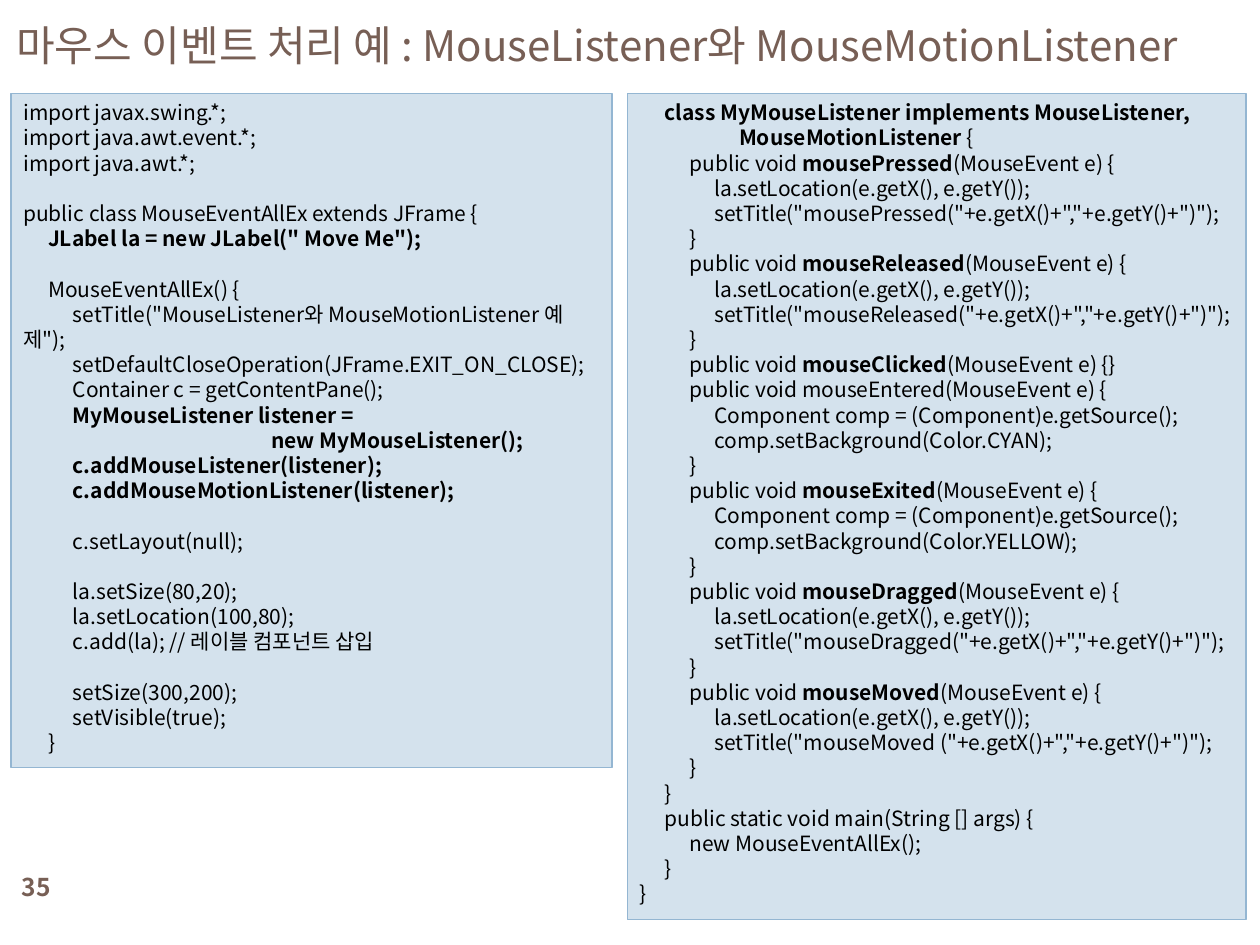
from lxml import etree
from pptx import Presentation
from pptx.dml.color import RGBColor
from pptx.enum.shapes import MSO_SHAPE
from pptx.enum.text import MSO_ANCHOR, MSO_AUTO_SIZE, PP_ALIGN
from pptx.oxml.ns import qn
from pptx.util import Cm, Pt

RECT = MSO_SHAPE.RECTANGLE
MIDDLE, TOP = MSO_ANCHOR.MIDDLE, MSO_ANCHOR.TOP
LEFT, CENTER = PP_ALIGN.LEFT, PP_ALIGN.CENTER
NO_FIT = MSO_AUTO_SIZE.NONE

FONT = "Noto Sans CJK KR"
COLORS = {"brown": "775F55", "panel": "D4E2ED", "edge": "94B6D2", "code": "000000"}
LINE = Pt(14.4)
TAB = Cm(0.5)
TAB_COUNT = 10
INDENT = " " * 4

# Backticks enclose bold code; an empty line is a gap.
SETUP = """import javax.swing.*;
import java.awt.event.*;
import java.awt.*;

public class MouseEventAllEx extends JFrame {
    `JLabel la = new JLabel(" Move Me");`

    MouseEventAllEx() {
        setTitle("MouseListener와 MouseMotionListener 예제");
        setDefaultCloseOperation(JFrame.EXIT_ON_CLOSE);
        Container c = getContentPane();
        `MyMouseListener listener =`
                                        `new MyMouseListener();`
        `c.addMouseListener(listener);`
        `c.addMouseMotionListener(listener);`

        c.setLayout(null);

        la.setSize(80,20);
        la.setLocation(100,80);
        c.add(la); // 레이블 컴포넌트 삽입

        setSize(300,200);
        setVisible(true);
    }"""


def method(name, *body):
    """Lines of one listener method, inside the inner class."""
    head = f"public void {name}(MouseEvent e) {{"
    if not body:
        return [INDENT * 2 + head + "}"]
    inner = [INDENT * 3 + row for row in body]
    return [INDENT * 2 + head, *inner, INDENT * 2 + "}"]


def move(name, label=None):
    """A method that moves the label and shows the mouse position."""
    return method(f"`{name}`", "la.setLocation(e.getX(), e.getY());",
                  f'setTitle("{label or name}("+e.getX()+","+e.getY()+")");')


def paint(name, color):
    """A method that recolours the background."""
    return method(name, "Component comp = (Component)e.getSource();",
                  f"comp.setBackground(Color.{color});")


LISTENER = "\n".join([
    "    `class MyMouseListener implements MouseListener,`",
    "                `MouseMotionListener` {",
    *move("mousePressed"),
    *move("mouseReleased"),
    *method("`mouseClicked`"),
    *paint("mouseEntered", "CYAN"),
    *paint("`mouseExited`", "YELLOW"),
    *move("mouseDragged"),
    *move("mouseMoved", "mouseMoved "),
    "    }",
    "    public static void main(String [] args) {",
    "        new MouseEventAllEx();",
    "    }",
    "}",
])


def assign(item, values):
    for name, value in values.items():
        setattr(item, name, value)


def add_run(para, text, size, color, bold=False):
    run = para.add_run()
    run.text = text
    assign(run.font, {"name": FONT, "size": Pt(size), "bold": bold})
    run.font.color.rgb = RGBColor.from_string(COLORS[color])
    east = etree.SubElement(run.font._element, qn("a:ea"))
    east.set("typeface", FONT)


def set_tabs(para):
    stops = etree.SubElement(para._p.get_or_add_pPr(), qn("a:tabLst"))
    for step in range(1, TAB_COUNT + 1):
        stop = etree.SubElement(stops, qn("a:tab"))
        stop.set("pos", str(TAB * step))
        stop.set("algn", "l")


def set_frame(frame, anchor):
    assign(frame, {"word_wrap": True, "auto_size": NO_FIT,
                   "vertical_anchor": anchor,
                   "margin_left": Cm(0.25), "margin_right": Cm(0.25),
                   "margin_top": Cm(0.13), "margin_bottom": Cm(0.13)})


def add_code(slide, box, code):
    panel = slide.shapes.add_shape(RECT, *map(Cm, box))
    panel.shadow.inherit = False
    panel.fill.solid()
    panel.fill.fore_color.rgb = RGBColor.from_string(COLORS["panel"])
    panel.line.color.rgb = RGBColor.from_string(COLORS["edge"])
    panel.line.width = Pt(0.75)
    frame = panel.text_frame
    set_frame(frame, TOP)

    para, gap = frame.paragraphs[0], Pt(0)
    for index, row in enumerate(code.split("\n")):
        if not row:
            gap = LINE
            continue
        if index:
            para = frame.add_paragraph()
        assign(para, {"alignment": LEFT, "line_spacing": LINE,
                      "space_before": gap, "space_after": Pt(0)})
        set_tabs(para)
        gap = Pt(0)
        for part, text in enumerate(row.replace(INDENT, "\t").split("`")):
            if text:
                add_run(para, text, 12, "code", part % 2 == 1)


def set_title(slide, box, text):
    title = slide.shapes.title
    assign(title, dict(zip(("left", "top", "width", "height"), map(Cm, box))))
    set_frame(title.text_frame, MIDDLE)
    para = title.text_frame.paragraphs[0]
    para.alignment = LEFT
    add_run(para, text, 24, "brown")


def add_number(slide, box, text):
    frame = slide.shapes.add_textbox(*map(Cm, box)).text_frame
    set_frame(frame, MIDDLE)
    para = frame.paragraphs[0]
    para.alignment = CENTER
    add_run(para, text, 14, "brown", True)


def main():
    deck = Presentation()
    assign(deck, {"slide_width": Cm(25.4), "slide_height": Cm(19.05)})
    slide = deck.slides.add_slide(deck.slide_layouts[5])
    add_number(slide, (0, 17.35, 1.47, 1.07), "35")
    set_title(slide, (0.08, -0.03, 25.12, 1.88),
              "마우스 이벤트 처리 예 : MouseListener와 MouseMotionListener")
    add_code(slide, (12.65, 1.88, 12.47, 16.66), LISTENER)
    add_code(slide, (0.22, 1.88, 12.12, 13.59), SETUP)
    deck.save("out.pptx")


if __name__ == "__main__":
    main()
